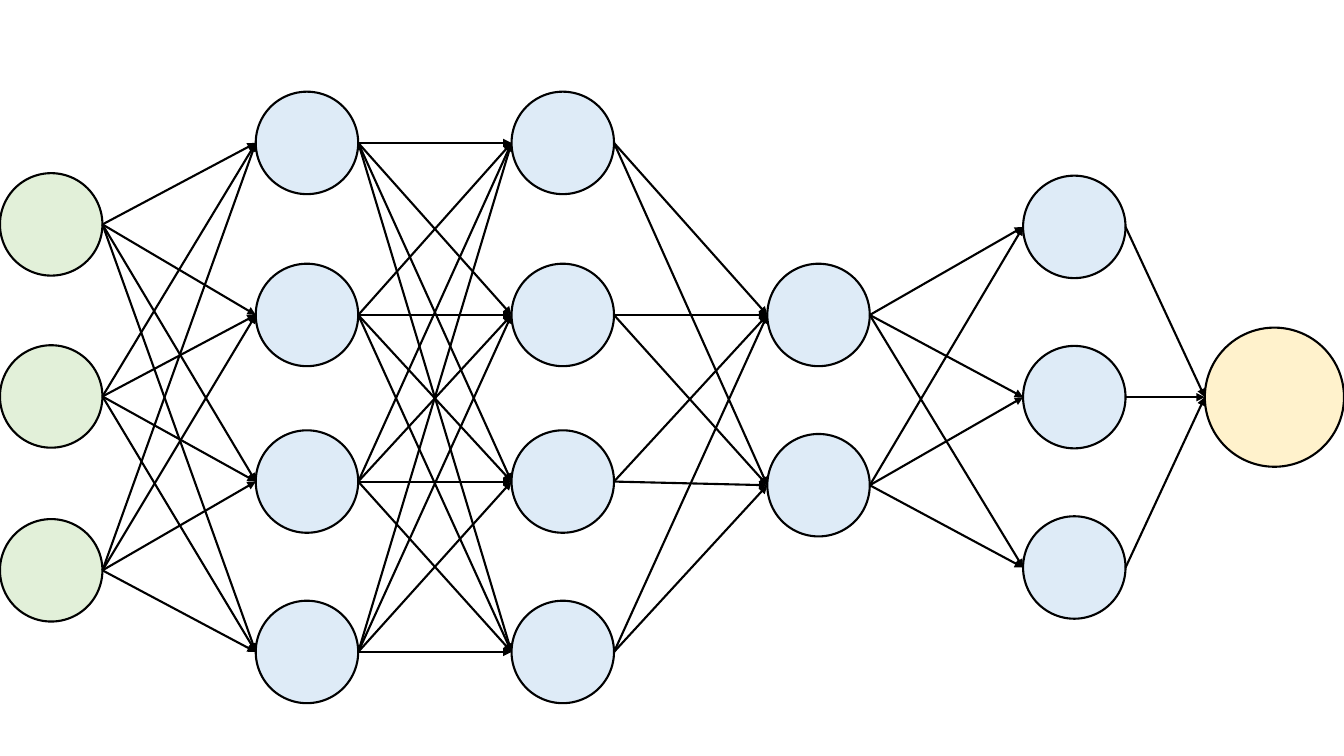
"""Draw a feed-forward neural network with fully linked layers."""
import dataclasses
import itertools

import pptx
import pptx.dml.color
import pptx.enum.shapes
import pptx.oxml
import pptx.oxml.ns
import pptx.slide
import pptx.util

Pt = pptx.util.Pt
INK = "000000"
GREEN = "E2F0D9"
BLUE = "DEEBF7"
CREAM = "FFF2CC"
NODE = 73.2
FINAL = 99.4
STEP = 182.7
WIDTH = 960
HEIGHT = 540
STROKE = 1.5


@dataclasses.dataclass(frozen=True)
class Layer:
    """A column of equal round nodes."""
    left: float
    size: float
    fill: str
    mids: tuple[float, ...]


def color(code: str) -> pptx.dml.color.RGBColor:
    """Turn a hex string into a colour."""
    return pptx.dml.color.RGBColor.from_string(code)


def style(line) -> None:
    """Give a line the common ink and width."""
    line.color.rgb = color(INK)
    line.width = Pt(STROKE)


def add_nodes(slide: pptx.slide.Slide, layer: Layer) -> None:
    """Draw every node of a layer."""
    for mid in layer.mids:
        node = slide.shapes.add_shape(
            pptx.enum.shapes.MSO_SHAPE.OVAL,
            Pt(layer.left), Pt(mid - layer.size / 2),
            Pt(layer.size), Pt(layer.size))
        node.shadow.inherit = False
        node.fill.solid()
        node.fill.fore_color.rgb = color(layer.fill)
        style(node.line)


def add_links(slide: pptx.slide.Slide, source: Layer, target: Layer) -> None:
    """Draw arrows from every source node to every target node."""
    for start, end in itertools.product(source.mids, target.mids):
        link = slide.shapes.add_connector(
            pptx.enum.shapes.MSO_CONNECTOR.STRAIGHT,
            Pt(source.left + source.size), Pt(start),
            Pt(target.left), Pt(end))
        style(link.line)
        props = link._element.spPr
        head = pptx.oxml.parse_xml(
            f'<a:tailEnd {pptx.oxml.ns.nsdecls("a")} type="triangle"/>')
        props.find(pptx.oxml.ns.qn("a:ln")).append(head)
        props.append(pptx.oxml.parse_xml(
            f'<a:effectLst {pptx.oxml.ns.nsdecls("a")}/>'))


def main() -> None:
    """Build and save the slide."""
    deck = pptx.Presentation()
    deck.slide_width = Pt(WIDTH)
    deck.slide_height = Pt(HEIGHT)
    slide = deck.slides.add_slide(deck.slide_layouts[6])
    wide = (102.1, 225, 344, 465.7)
    layers = (
        Layer(0, NODE, GREEN, (160.3, 283.2, 407.4)),
        Layer(STEP, NODE, BLUE, wide),
        Layer(2 * STEP, NODE, BLUE, wide),
        Layer(3 * STEP, NODE, BLUE, (225, 346.6)),
        Layer(4 * STEP, NODE, BLUE, (162.1, 283.7, 405.4)),
        Layer(WIDTH - FINAL, FINAL, CREAM, (283.7,)),
    )
    for layer in layers:
        add_nodes(slide, layer)
    for source, target in itertools.pairwise(layers):
        add_links(slide, source, target)
    deck.save("out.pptx")


main()
